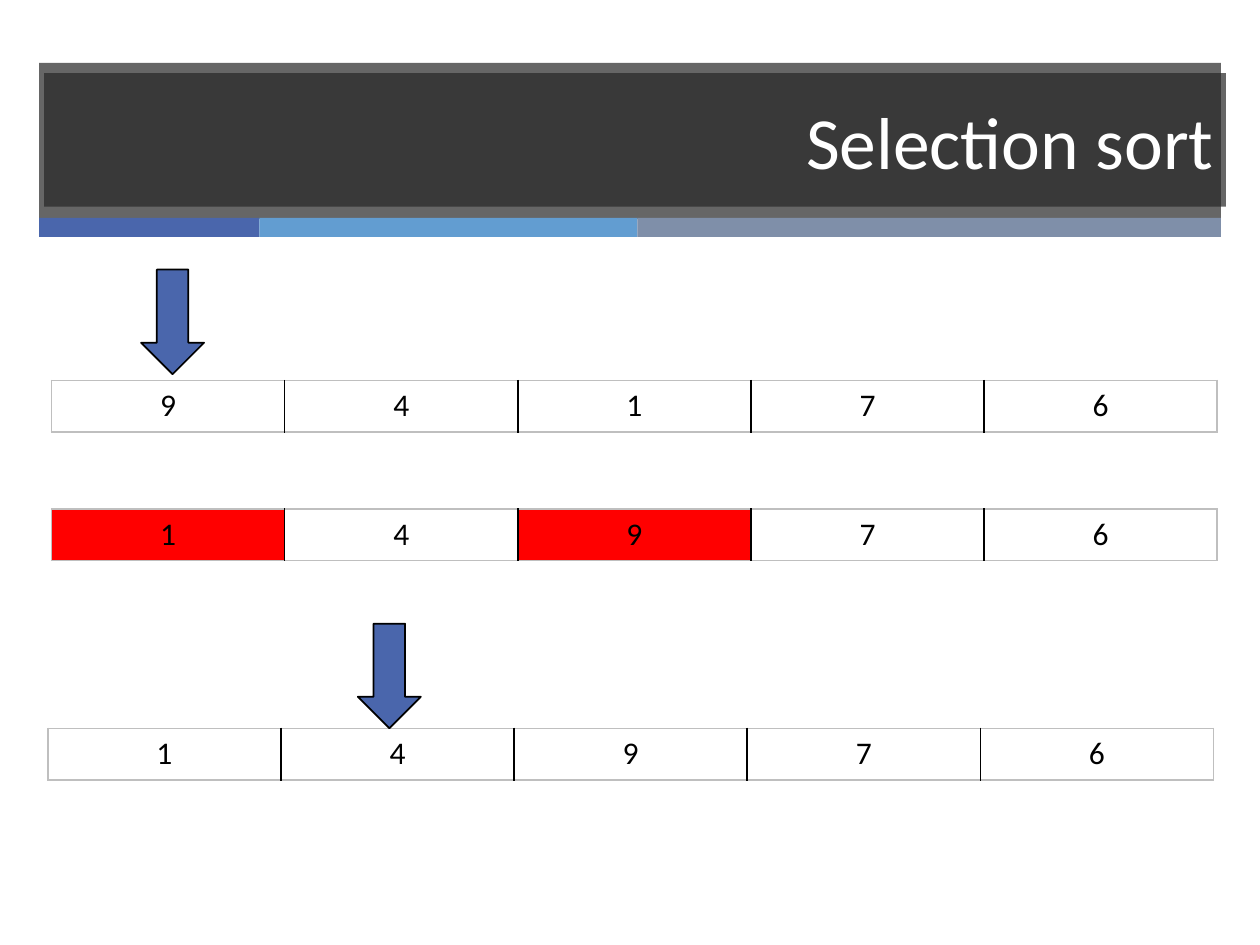
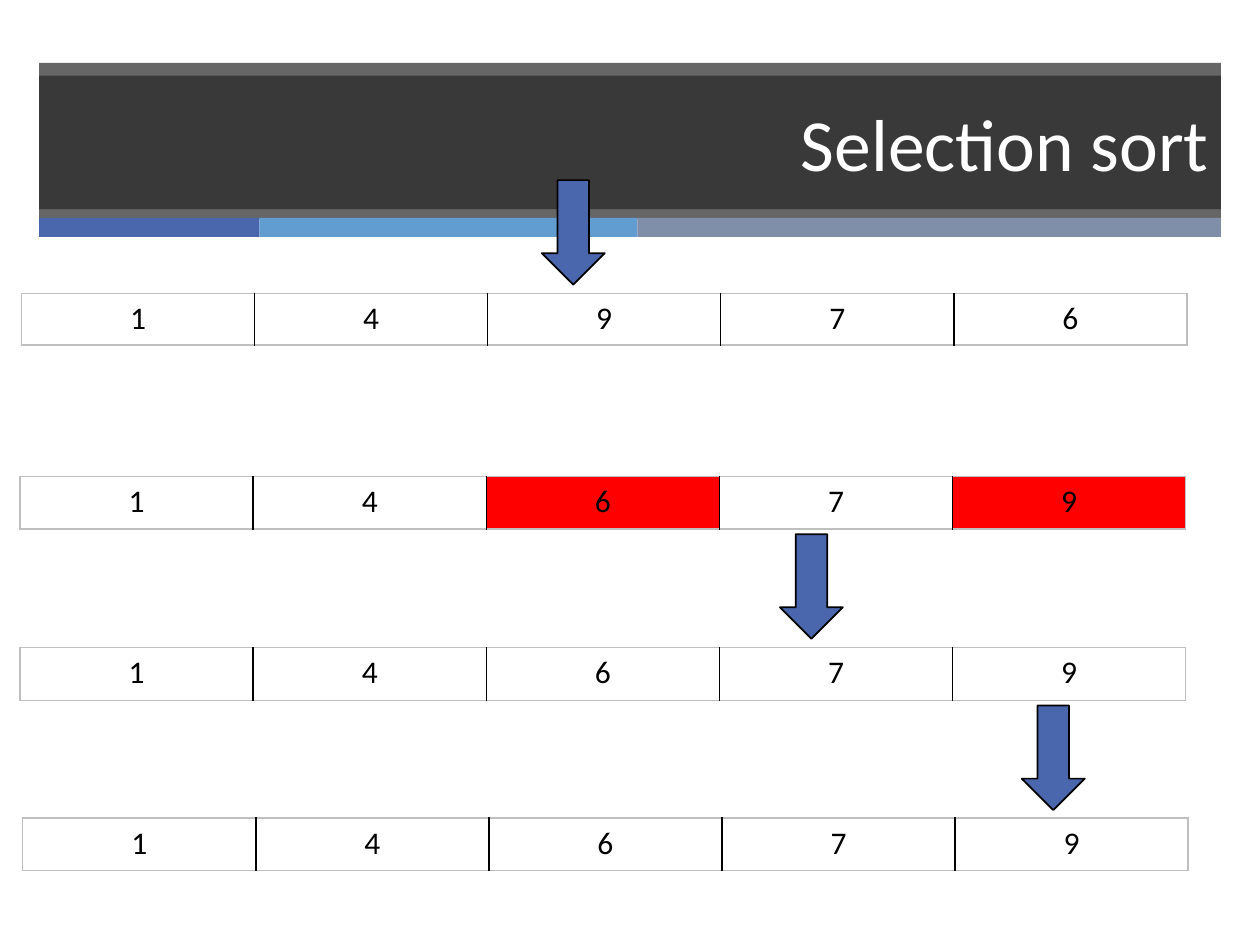
from lxml import etree
from pptx import Presentation
from pptx import util as u
from pptx.dml.color import RGBColor
from pptx.enum import shapes, text
from pptx.oxml import ns

COLORS = {
    "banner": "262626",
    "blue": "4A66AC",
    "sky": "629DD1",
    "slate": "7F8FA9",
    "swapped": "FF0000",
    "edge": "BFBFBF",
    "black": "000000",
    "white": "FFFFFF",
}
FONT = "Calibri"
BANNER_LEFT, BANNER_WIDTH = 0.31, 9.38
STRIPES = [("blue", 1.75), ("sky", 3), ("slate", 4.63)]
CELL_WIDTH = 1.85

SLIDES = [
    {
        "title_at": (0.35, 0.58),
        "arrays": [
            (0.41, 3.02, 0.41, "94176", ()),
            (0.41, 4.04, 0.41, "14976", (0, 2)),
            (0.38, 5.78, 0.41, "14976", ()),
        ],
        "pointers": [(1.12, 2.14), (2.84, 4.95)],
    },
    {
        "title_at": (0.31, 0.6),
        "arrays": [
            (0.17, 2.33, 0.41, "14976", ()),
            (0.16, 3.78, 0.42, "14679", (2, 4)),
            (0.16, 5.14, 0.42, "14679", ()),
            (0.18, 6.49, 0.42, "14679", ()),
        ],
        "pointers": [(4.3, 1.43), (6.19, 4.24), (8.11, 5.6)],
    },
]


def rgb(name):
    """Return the palette colour of this name."""
    return RGBColor.from_string(COLORS[name])


def write(frame, words, size=18, color="black", align=text.PP_ALIGN.CENTER):
    """Write one formatted paragraph into a text frame."""
    paragraph = frame.paragraphs[0]
    paragraph.alignment = align
    run = paragraph.add_run()
    run.text = words
    run.font.name = FONT
    run.font.size = u.Pt(size)
    run.font.color.rgb = rgb(color)


def add_block(slide, left, top, width, height, color, kind="RECTANGLE", opacity=100, outline=None):
    """Add a filled preset shape, optionally translucent or outlined."""
    block = slide.shapes.add_shape(
        shapes.MSO_SHAPE[kind], *map(u.Inches, (left, top, width, height))
    )
    block.shadow.inherit = False
    block.fill.solid()
    block.fill.fore_color.rgb = rgb(color)
    if opacity < 100:
        tint = block.element.spPr.find(".//" + ns.qn("a:srgbClr"))
        etree.SubElement(tint, ns.qn("a:alpha"), val=str(opacity * 1000))
    if outline:
        block.line.color.rgb = rgb(outline)
        block.line.width = u.Pt(1)
    else:
        block.line.fill.background()
    return block


def add_header(slide, title_at):
    """Draw the banner, its coloured stripes and the slide title."""
    add_block(slide, BANNER_LEFT, 0.5, BANNER_WIDTH, 1.24, "banner", opacity=70)
    left = BANNER_LEFT
    for color, width in STRIPES:
        add_block(slide, left, 1.73, width, 0.15, color)
        left += width
    title = add_block(slide, *title_at, BANNER_WIDTH, 1.06, "banner", opacity=70)
    title.text_frame.word_wrap = True
    title.text_frame.vertical_anchor = text.MSO_ANCHOR.MIDDLE
    write(title.text_frame, "Selection sort", size=42, color="white", align=text.PP_ALIGN.RIGHT)


def set_borders(cell, colors):
    """Give a cell one-point borders, coloured by side."""
    properties = cell._tc.get_or_add_tcPr()
    for position, (side, color) in enumerate(colors.items()):
        line = etree.Element(ns.qn(f"a:ln{side}"), w=str(u.Pt(1)))
        fill = etree.SubElement(line, ns.qn("a:solidFill"))
        etree.SubElement(fill, ns.qn("a:srgbClr"), val=COLORS[color])
        properties.insert(position, line)


def add_array(slide, left, top, height, digits, swapped):
    """Draw an array as a one-row table with the swapped cells marked."""
    count = len(digits)
    array = slide.shapes.add_table(
        1, count, *map(u.Inches, (left, top, CELL_WIDTH * count, height))
    ).table
    array.first_row = array.horz_banding = False
    for index, digit in enumerate(digits):
        cell = array.cell(0, index)
        write(cell.text_frame, digit)
        if index in swapped:
            cell.fill.solid()
            cell.fill.fore_color.rgb = rgb("swapped")
        else:
            cell.fill.background()
        set_borders(cell, {
            "L": "black" if index else "edge",
            "R": "black" if index < count - 1 else "edge",
            "T": "edge",
            "B": "edge",
        })


def add_pointer(slide, left, top):
    """Draw the arrow that points at the current position."""
    add_block(slide, left, top, 0.5, 0.83, "blue", kind="DOWN_ARROW", outline="black")


def main():
    """Build the selection sort slides."""
    deck = Presentation()
    deck.slide_width, deck.slide_height = u.Inches(10), u.Inches(7.5)
    for step in SLIDES:
        slide = deck.slides.add_slide(deck.slide_layouts[6])
        add_header(slide, step["title_at"])
        for array in step["arrays"]:
            add_array(slide, *array)
        for pointer in step["pointers"]:
            add_pointer(slide, *pointer)
    deck.save("out.pptx")


if __name__ == "__main__":
    main()
